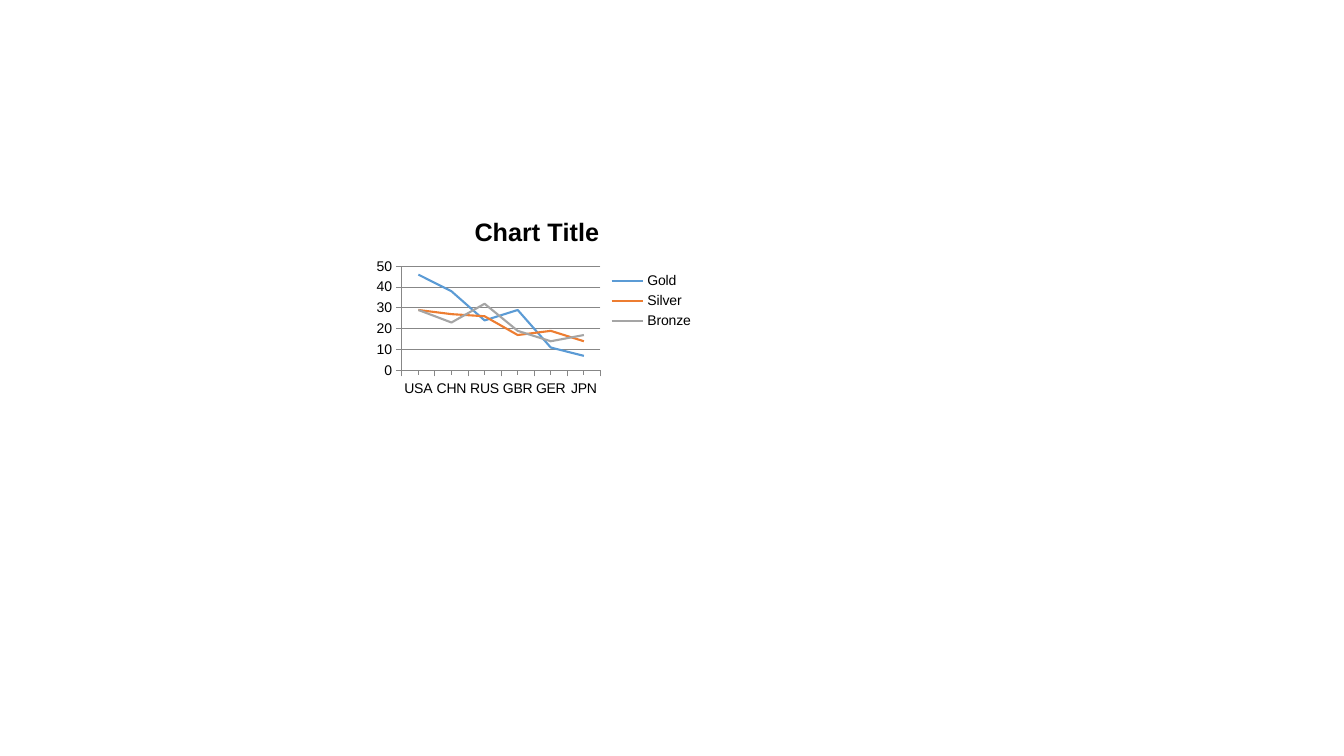
from dataclasses import dataclass

import pptx
import pptx.chart.axis
import pptx.chart.chart
import pptx.chart.data
import pptx.dml.color
import pptx.dml.line
import pptx.enum.chart
import pptx.slide
import pptx.util

COLORS = {
    "gold": "5B9BD5",
    "silver": "ED7D31",
    "bronze": "A5A5A5",
    "text": "000000",
    "axis": "878787",
}
COUNTRIES = ["USA", "CHN", "RUS", "GBR", "GER", "JPN"]


@dataclass(frozen=True)
class Medal:
    name: str
    counts: tuple[int, ...]
    color: str


MEDALS = [
    Medal("Gold", (46, 38, 24, 29, 11, 7), "gold"),
    Medal("Silver", (29, 27, 26, 17, 19, 14), "silver"),
    Medal("Bronze", (29, 23, 32, 19, 14, 17), "bronze"),
]


def rgb(color: str) -> pptx.dml.color.RGBColor:
    return pptx.dml.color.RGBColor.from_string(COLORS[color])


def style_line(line: pptx.dml.line.LineFormat, color: str, width: float) -> None:
    line.color.rgb = rgb(color)
    line.width = pptx.util.Pt(width)


def style_font(font: pptx.text.text.Font, size: float, bold: bool = False) -> None:
    font.name = "Arial"
    font.size = pptx.util.Pt(size)
    font.bold = bold
    font.color.rgb = rgb("text")


def style_title(chart: pptx.chart.chart.Chart) -> None:
    chart.has_title = True
    chart.chart_title.include_in_layout = False
    heading = chart.chart_title.text_frame.paragraphs[0].add_run()
    heading.text = "Chart Title"
    style_font(heading.font, 18, bold=True)


def style_axes(chart: pptx.chart.chart.Chart) -> None:
    tick = pptx.enum.chart.XL_TICK_MARK
    for axis in (chart.category_axis, chart.value_axis):
        axis.major_tick_mark = tick.OUTSIDE
        axis.minor_tick_mark = tick.NONE
        style_line(axis.format.line, "axis", 0.75)
    chart.category_axis.minor_tick_mark = tick.OUTSIDE
    counts = chart.value_axis
    counts.minimum_scale, counts.maximum_scale, counts.major_unit = 0, 50, 10
    counts.has_major_gridlines = True
    style_line(counts.major_gridlines.format.line, "axis", 0.75)


def add_medal_chart(slide: pptx.slide.Slide) -> None:
    medal_counts = pptx.chart.data.CategoryChartData()
    medal_counts.categories = COUNTRIES
    for medal in MEDALS:
        medal_counts.add_series(medal.name, medal.counts)
    inches = pptx.util.Inches
    chart = slide.shapes.add_chart(
        pptx.enum.chart.XL_CHART_TYPE.LINE,
        inches(3.67), inches(2), inches(3.31), inches(1.97),
        medal_counts,
    ).chart
    style_font(chart.font, 10)
    style_title(chart)
    style_axes(chart)
    chart.has_legend = True
    chart.legend.position = pptx.enum.chart.XL_LEGEND_POSITION.RIGHT
    chart.legend.include_in_layout = False
    chart.plots[0].vary_by_categories = False
    for series, medal in zip(chart.plots[0].series, MEDALS):
        series.smooth = False
        series.marker.style = pptx.enum.chart.XL_MARKER_STYLE.NONE
        style_line(series.format.line, medal.color, 1.5)


def main() -> None:
    presentation = pptx.Presentation()
    presentation.slide_width = pptx.util.Inches(13.33)
    presentation.slide_height = pptx.util.Inches(7.5)
    slide = presentation.slides.add_slide(presentation.slide_layouts[6])
    add_medal_chart(slide)
    presentation.save("out.pptx")


if __name__ == "__main__":
    main()
